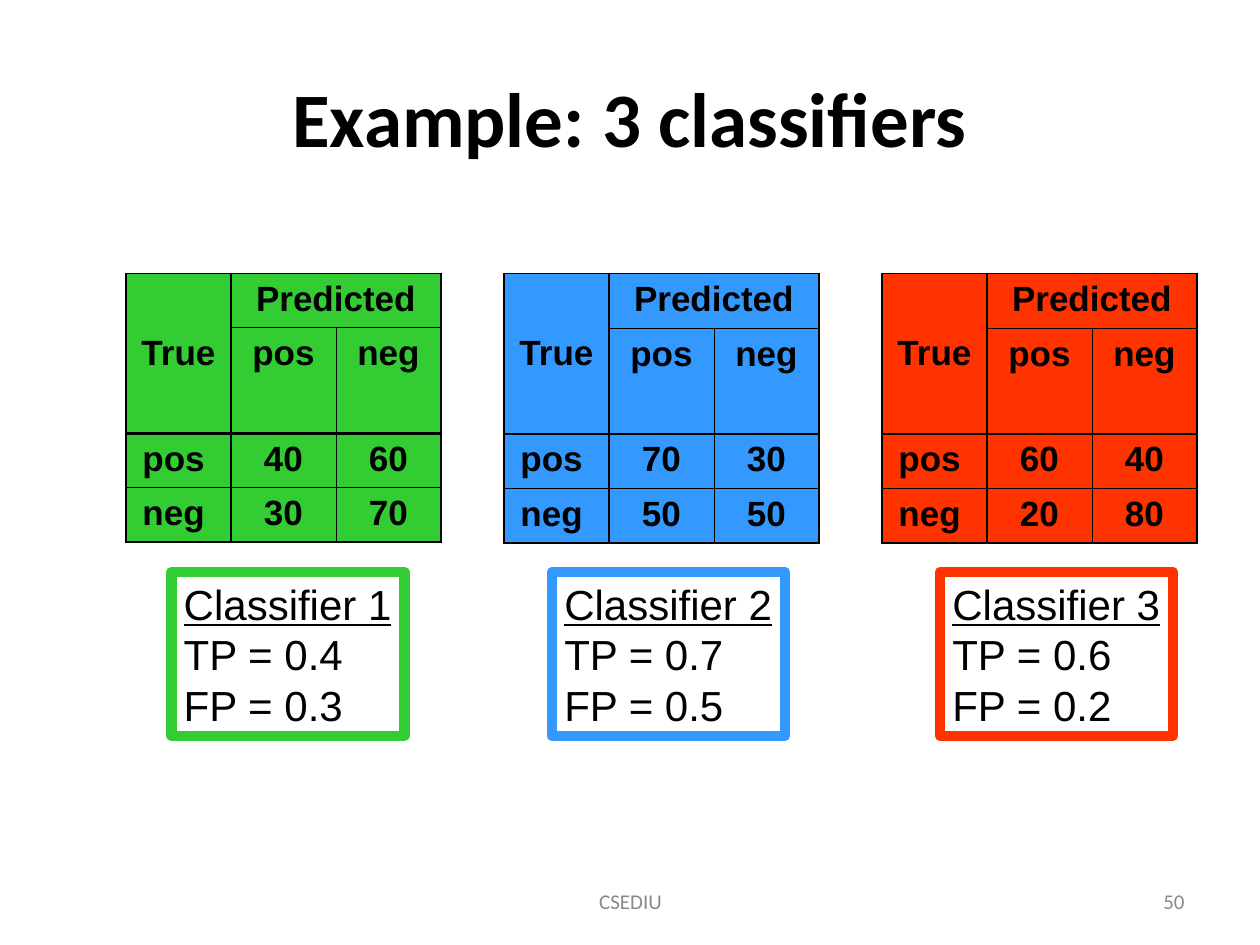
from dataclasses import dataclass

from lxml import etree
from pptx import Presentation
from pptx.dml.color import RGBColor
from pptx.enum.shapes import MSO_SHAPE
from pptx.enum.text import MSO_ANCHOR, MSO_AUTO_SIZE, PP_ALIGN
from pptx.oxml.ns import qn
from pptx.util import Inches, Pt

RECTANGLE = MSO_SHAPE.RECTANGLE
TOP, MIDDLE = MSO_ANCHOR.TOP, MSO_ANCHOR.MIDDLE
LEFT, CENTER, RIGHT = PP_ALIGN.LEFT, PP_ALIGN.CENTER, PP_ALIGN.RIGHT
FIT_SHAPE = MSO_AUTO_SIZE.SHAPE_TO_FIT_TEXT


@dataclass(frozen=True)
class Theme:
    heading_font: str = "Calibri"
    body_font: str = "Arial"
    ink: str = "000000"
    muted: str = "898989"
    title_size: int = 44
    rates_size: int = 24
    table_size: int = 20
    footer_size: int = 12
    rates_border: int = 6


THEME = Theme()

TITLE = "Example: 3 classifiers"
# Name, colour, left of its rates box, counts by true class (pos, neg)
CLASSIFIERS = [
    ("Classifier 1", "33CC33", 1.36, [(40, 60), (30, 70)]),
    ("Classifier 2", "3399FF", 4.38, [(70, 30), (50, 50)]),
    ("Classifier 3", "FF3300", 7.46, [(60, 40), (20, 80)]),
]
FOOTERS = [("CSEDIU", CENTER, 3.42, 3.17), ("50", RIGHT, 7.17, 2.33)]

SLIDE_W, SLIDE_H = 10, 7.5
MATRIX_LEFT, MATRIX_TOP, MATRIX_PITCH = 1, 2.17, 3
MATRIX_W, COLUMNS = 2.5, 3
ROW_HEIGHTS = [0.43, 0.84, 0.43, 0.43]
RATES_TOP, RATES_W, RATES_H = 4.54, 1.85, 1.3
FOOTER_TOP, FOOTER_H = 6.95, 0.4

# Widths in points of the matrix rules, left to right and top to bottom
OUTER, DIVIDER, INNER = 1.08, 1.47, 0.45
VERTICAL_RULES = [OUTER, DIVIDER, INNER, OUTER]
HORIZONTAL_RULES = [OUTER, INNER, DIVIDER, INNER, OUTER]


def style(paragraph, size, font=THEME.body_font, color=THEME.ink,
          align=LEFT, bold=False):
    paragraph.alignment = align
    paragraph.font.size = Pt(size)
    paragraph.font.name = font
    paragraph.font.bold = bold
    paragraph.font.color.rgb = RGBColor.from_string(color)


def rule_cell(cell, row, column):
    """Draw the four borders of a cell, reaching over the cells it spans."""
    widths = {
        "a:lnL": VERTICAL_RULES[column],
        "a:lnR": VERTICAL_RULES[column + cell.span_width],
        "a:lnT": HORIZONTAL_RULES[row],
        "a:lnB": HORIZONTAL_RULES[row + cell.span_height],
    }
    properties = cell._tc.get_or_add_tcPr()
    for tag, width in widths.items():
        line = etree.SubElement(properties, qn(tag), w=str(Pt(width)))
        fill = etree.SubElement(line, qn("a:solidFill"))
        etree.SubElement(fill, qn("a:srgbClr"), val=THEME.ink)


def add_matrix(slide, left, color, counts):
    (tp, fn), (fp, tn) = counts
    labels = [
        ["True", "Predicted", ""],
        ["", "pos", "neg"],
        ["pos ", tp, fn],
        ["neg ", fp, tn],
    ]
    matrix = slide.shapes.add_table(
        len(labels), COLUMNS, Inches(left), Inches(MATRIX_TOP),
        Inches(MATRIX_W), Inches(sum(ROW_HEIGHTS))).table
    matrix.first_row = matrix.horz_banding = False
    for row, height in zip(matrix.rows, ROW_HEIGHTS):
        row.height = Inches(height)
    matrix.cell(0, 0).merge(matrix.cell(1, 0))
    matrix.cell(0, 1).merge(matrix.cell(0, 2))

    for r, row_labels in enumerate(labels):
        for c, label in enumerate(row_labels):
            cell = matrix.cell(r, c)
            if cell.is_spanned:
                continue
            rule_cell(cell, r, c)
            cell.fill.solid()
            cell.fill.fore_color.rgb = RGBColor.from_string(color)
            cell.vertical_anchor = MIDDLE if cell.span_height > 1 else TOP
            cell.text = str(label)
            style(cell.text_frame.paragraphs[0], THEME.table_size,
                  align=CENTER, bold=True)


def add_rates(slide, left, name, color, counts):
    """Add the framed box with the true and false positive rates."""
    tp_rate, fp_rate = (pos / (pos + neg) for pos, neg in counts)
    box = slide.shapes.add_shape(RECTANGLE, Inches(left), Inches(RATES_TOP),
                                 Inches(RATES_W), Inches(RATES_H))
    box.shadow.inherit = False
    box.fill.background()
    box.line.color.rgb = RGBColor.from_string(color)
    box.line.width = Pt(THEME.rates_border)
    frame = box.text_frame
    frame.text = f"{name}\nTP = {tp_rate:.1f}\nFP = {fp_rate:.1f}"
    frame.word_wrap = False
    frame.auto_size = FIT_SHAPE
    frame.vertical_anchor = TOP
    for paragraph in frame.paragraphs:
        style(paragraph, THEME.rates_size)
    frame.paragraphs[0].font.underline = True


def add_footer(slide, text, align, left, width):
    frame = slide.shapes.add_textbox(
        Inches(left), Inches(FOOTER_TOP),
        Inches(width), Inches(FOOTER_H)).text_frame
    frame.word_wrap = True
    frame.vertical_anchor = MIDDLE
    frame.text = text
    style(frame.paragraphs[0], THEME.footer_size, THEME.heading_font,
          THEME.muted, align)


def main():
    deck = Presentation()
    deck.slide_width, deck.slide_height = Inches(SLIDE_W), Inches(SLIDE_H)
    slide = deck.slides.add_slide(deck.slide_layouts.get_by_name("Title Only"))

    title = slide.shapes.title
    title.left, title.top = Inches(0.5), Inches(0.3)
    title.width, title.height = Inches(9), Inches(1.25)
    title.text = TITLE
    title.text_frame.vertical_anchor = MIDDLE
    style(title.text_frame.paragraphs[0], THEME.title_size,
          THEME.heading_font, align=CENTER, bold=True)

    for i, (name, color, rates_left, counts) in enumerate(CLASSIFIERS):
        add_matrix(slide, MATRIX_LEFT + i * MATRIX_PITCH, color, counts)
        add_rates(slide, rates_left, name, color, counts)
    for footer in FOOTERS:
        add_footer(slide, *footer)

    deck.save("out.pptx")


if __name__ == "__main__":
    main()
